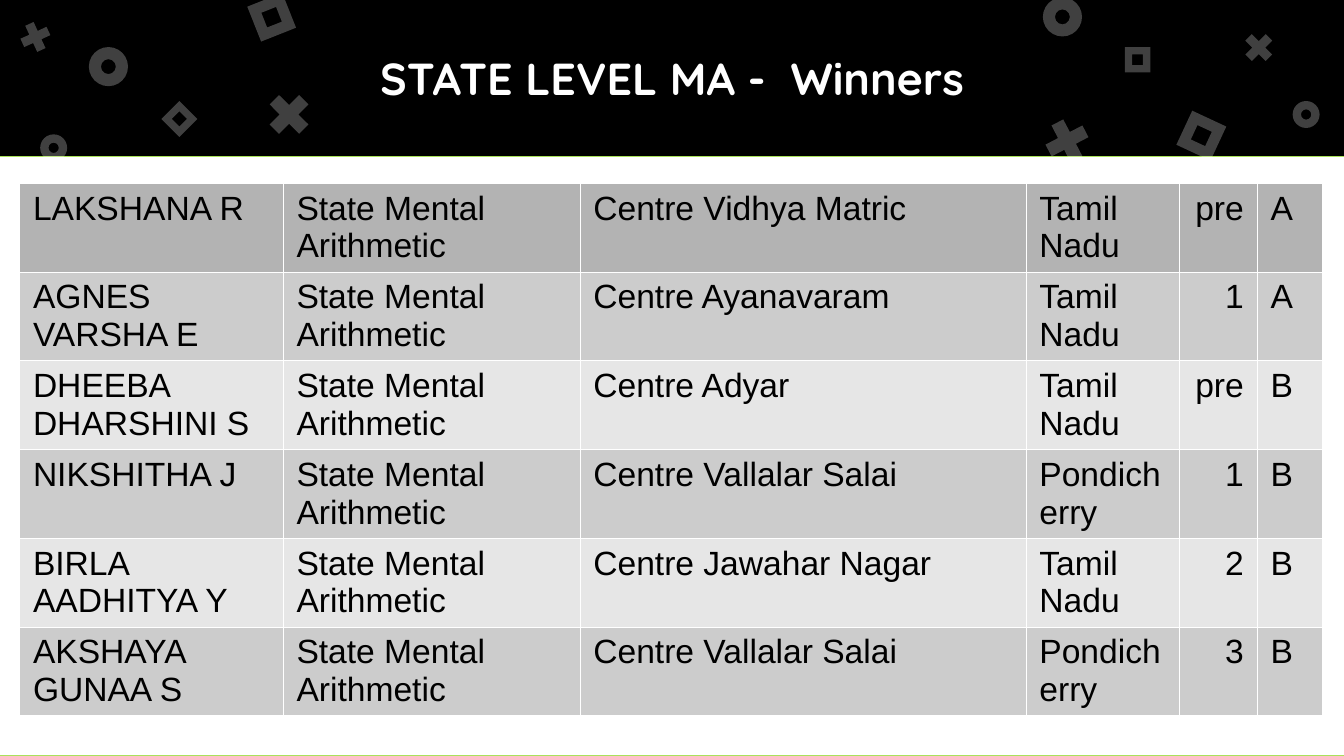
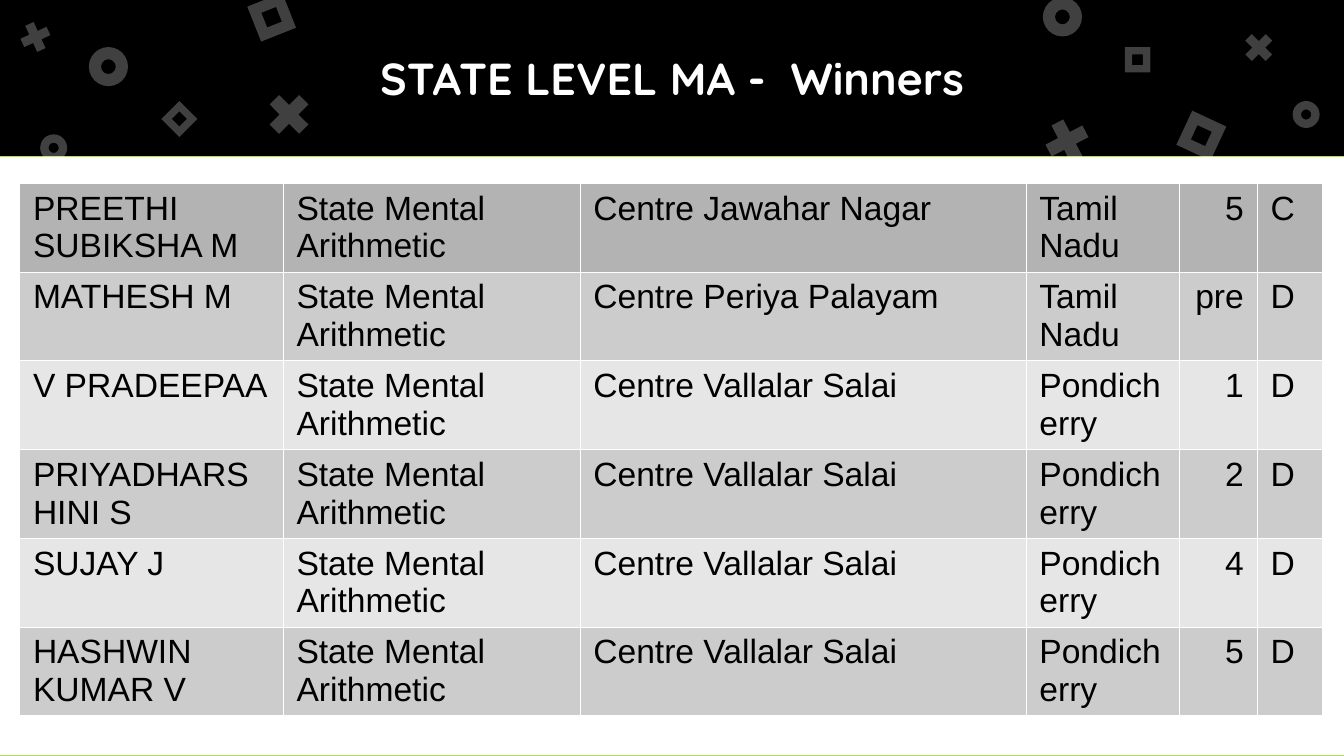
from pptx import Presentation
from pptx.dml.color import RGBColor
from pptx.enum.shapes import MSO_SHAPE
from pptx.enum.text import MSO_ANCHOR, PP_ALIGN
from pptx.oxml.ns import qn
from pptx.util import Cm, Pt
from lxml.etree import SubElement

BLACK = RGBColor(0x00, 0x00, 0x00)
WHITE = RGBColor(0xFF, 0xFF, 0xFF)
GREEN = RGBColor(0x7B, 0xD1, 0x00)
HEAD = RGBColor(0xB3, 0xB3, 0xB3)
BANDS = [RGBColor(0xE6, 0xE6, 0xE6), RGBColor(0xCC, 0xCC, 0xCC)]

WIDTH, HEIGHT, BAND = 25.4, 14.29, 2.95
WIDTHS = [4.98, 5.61, 8.43, 2.9, 1.47, 1.22]
ROW = 1.67
TITLE = "STATE LEVEL MA -  Winners"
EVENT = "State Mental Arithmetic"
TAMIL, PONDI = "Tamil Nadu", "Pondicherry"

# Shape, adjustment, then left, top, size and rotation of each one
DECOR = [
    (MSO_SHAPE.DONUT, 0.31, [
        (1.68, 0.89, 0.74, 0), (19.71, -0.05, 0.74, 0),
        (0.76, 2.54, 0.51, 0), (24.43, 1.91, 0.51, 0)]),
    (MSO_SHAPE.MATH_MULTIPLY, 0.235, [
        (4.93, 1.63, 1.07, 0), (19.63, 2.13, 1.07, 17.5),
        (0.3, 0.33, 0.74, 20.4), (23.42, 0.53, 0.74, 0)]),
    (MSO_SHAPE.FRAME, 0.289, [
        (4.78, -0.03, 0.71, 338.4), (22.35, 2.21, 0.71, 25),
        (3.15, 2.01, 0.48, 45), (21.26, 0.89, 0.48, 0)]),
]

# Name, branch, state, level and grade of each winner
PAGES = [
    [("LAKSHANA R", "Centre Vidhya Matric", TAMIL, "pre", "A"),
     ("AGNES VARSHA E", "Centre Ayanavaram", TAMIL, "1", "A"),
     ("DHEEBA DHARSHINI S", "Centre Adyar", TAMIL, "pre", "B"),
     ("NIKSHITHA J", "Centre Vallalar Salai", PONDI, "1", "B"),
     ("BIRLA AADHITYA Y", "Centre Jawahar Nagar", TAMIL, "2", "B"),
     ("AKSHAYA GUNAA S", "Centre Vallalar Salai", PONDI, "3", "B")],
    [("PREETHI SUBIKSHA M", "Centre Jawahar Nagar", TAMIL, "5", "C"),
     ("MATHESH M", "Centre Periya Palayam", TAMIL, "pre", "D"),
     ("V PRADEEPAA", "Centre Vallalar Salai", PONDI, "1", "D"),
     ("PRIYADHARSHINI S", "Centre Vallalar Salai", PONDI, "2", "D"),
     ("SUJAY J", "Centre Vallalar Salai", PONDI, "4", "D"),
     ("HASHWIN KUMAR V", "Centre Vallalar Salai", PONDI, "5", "D")],
]


def add_plain(slide, kind, box, color):
    """Add a shape with a solid fill, no line and no shadow."""
    shape = slide.shapes.add_shape(kind, *[Cm(n) for n in box])
    shape.shadow.inherit = False
    shape.fill.solid()
    shape.fill.fore_color.rgb = color
    shape.line.fill.background()
    return shape


def add_edges(cell):
    """Give a cell thin white borders, placed before its fill."""
    props = cell._tc.get_or_add_tcPr()
    for spot, side in enumerate(["lnL", "lnR", "lnT", "lnB"]):
        line = SubElement(props, qn("a:" + side), w="762")
        fill = SubElement(line, qn("a:solidFill"))
        SubElement(fill, qn("a:srgbClr"), val=str(WHITE))
        props.insert(spot, line)


deck = Presentation()
deck.slide_width, deck.slide_height = Cm(WIDTH), Cm(HEIGHT)
layout = deck.slide_layouts[5]
layout.background.fill.solid()
layout.background.fill.fore_color.rgb = GREEN
for holder in list(layout.placeholders)[1:]:
    holder.element.getparent().remove(holder.element)
head = layout.placeholders[0]
head.left, head.top = Cm(1.27), Cm(0)
head.width, head.height = Cm(22.86), Cm(BAND)

# The backdrop is drawn on the first slide, then moved to the layout
slides = [deck.slides.add_slide(layout) for page in PAGES]
first = slides[0]
add_plain(first, MSO_SHAPE.RECTANGLE, (0, 0, WIDTH, BAND), BLACK)
gap = 0.01  # a hairline of green shows below the band and at the foot
add_plain(first, MSO_SHAPE.RECTANGLE,
          (0, BAND + gap, WIDTH, HEIGHT - BAND - 2 * gap), WHITE)
for kind, adjust, spots in DECOR:
    for left, top, size, turn in spots:
        shape = add_plain(first, kind, (left, top, size, size), WHITE)
        shape.adjustments[0] = adjust
        shape.rotation = turn
        tint = shape.element.xpath(".//a:srgbClr")[0]
        SubElement(tint, qn("a:alpha"), val="25000")
for shape in list(first.shapes)[1:]:
    layout.shapes.element.append(shape.element)

for slide, page in zip(slides, PAGES):
    title = slide.shapes.title
    title.text = TITLE
    frame = title.text_frame
    frame.vertical_anchor = MSO_ANCHOR.MIDDLE
    para = frame.paragraphs[0]
    para.alignment = PP_ALIGN.CENTER
    para.font.name, para.font.size = "Quicksand", Pt(24)
    para.font.bold = True
    para.font.color.rgb = WHITE

    table = slide.shapes.add_table(
        len(page), len(WIDTHS), Cm(0.37), Cm(3.46),
        Cm(sum(WIDTHS)), Cm(ROW * len(page))).table
    table.first_row = table.horz_banding = False
    for column, width in zip(table.columns, WIDTHS):
        column.width = Cm(width)
    for row, (name, *rest) in enumerate(page):
        for col, text in enumerate([name, EVENT, *rest]):
            cell = table.cell(row, col)
            cell.text = text
            cell.fill.solid()
            cell.fill.fore_color.rgb = BANDS[row % 2] if row else HEAD
            add_edges(cell)
            para = cell.text_frame.paragraphs[0]
            para.alignment = PP_ALIGN.RIGHT if col == 4 else PP_ALIGN.LEFT
            para.font.name, para.font.size = "Arial", Pt(18)
            para.font.color.rgb = BLACK

deck.save("out.pptx")
